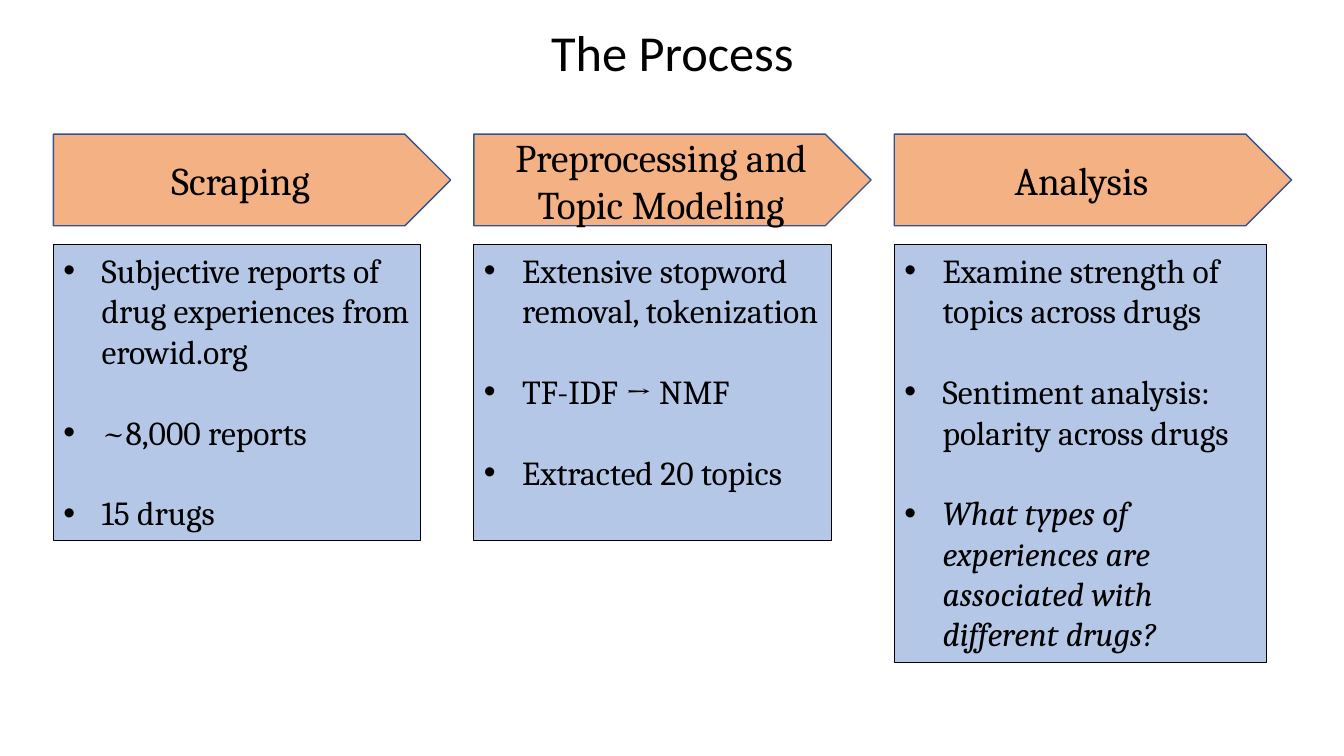
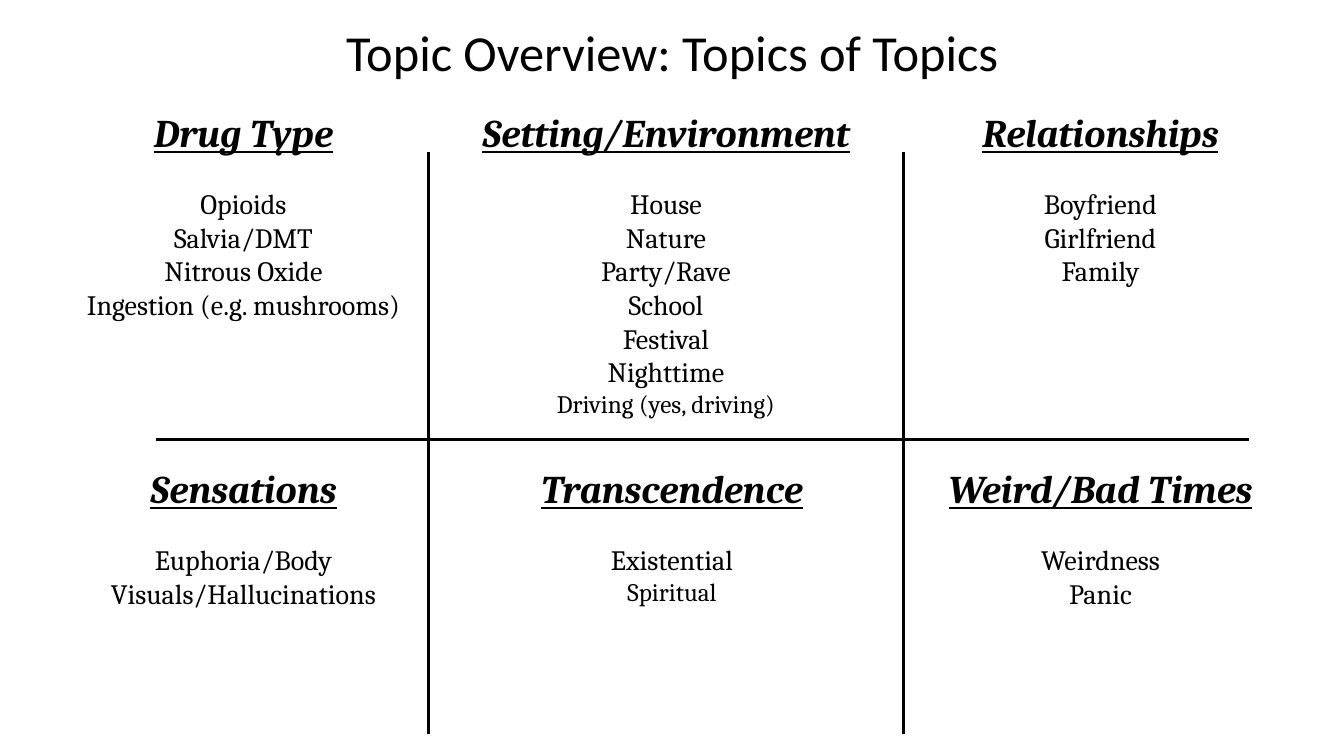
from lxml import etree
from pptx import Presentation
from pptx.dml.color import RGBColor
from pptx.enum import shapes, text
from pptx.oxml.ns import qn
from pptx.util import Inches, Pt

COLORS = {"ink": "000000", "arrow": "F4B183", "arrow_edge": "325491", "card": "B4C7E7"}
TITLE = {"name": "Calibri", "size": Pt(36)}
STEP = {"name": "Cambria", "size": Pt(28)}
BULLET = {"name": "Cambria", "size": Pt(24)}
HEADING = {**STEP, "bold": True, "italic": True, "underline": True}
TOPIC = {"name": "Cambria", "size": Pt(20)}
SMALL = {**TOPIC, "size": Pt(18)}

# step, card width, card height, bullets
PROCESS = [
    ("Scraping", 3.64, 2.93,
     ["Subjective reports of drug experiences from erowid.org", "~8,000 reports", "15 drugs"]),
    ("Preprocessing and Topic Modeling", 3.55, 2.93,
     ["Extensive stopword removal, tokenization", "TF-IDF → NMF", "Extracted 20 topics"]),
    ("Analysis", 3.69, 4.14,
     ["Examine strength of topics across drugs",
      "Sentiment analysis: polarity across drugs",
      "What types of experiences are associated with different drugs?"]),
]
ITALIC = {"What types of experiences are associated with different drugs?"}

# rows of (heading, topics)
TOPICS = [
    [("Drug Type", ["Opioids", "Salvia/DMT", "Nitrous Oxide", "Ingestion (e.g. mushrooms)"]),
     ("Setting/Environment", ["House", "Nature", "Party/Rave", "School", "Festival",
                              "Nighttime", "Driving (yes, driving)"]),
     ("Relationships", ["Boyfriend", "Girlfriend", "Family"])],
    [("Sensations", ["Euphoria/Body", "Visuals/Hallucinations"]),
     ("Transcendence", ["Existential", "Spiritual"]),
     ("Weird/Bad Times", ["Weirdness", "Panic"])],
]
SMALL_TOPICS = {"Driving (yes, driving)", "Spiritual"}
WIDER_LEFT = {"Setting/Environment": 0.12}

PROCESS_LEFT, PROCESS_PITCH = 0.53, 4.17
TOPIC_LEFT, TOPIC_PITCH, TOPIC_WIDTH = 0.46, 4.25, 3.91
TOPIC_ROWS = [(1.03, 3.53), (4.56, 2.15)]  # top, height
DIVIDERS = [(4.25, 1.51, 4.25, 7.28), (8.96, 1.51, 8.96, 7.28), (1.55, 4.36, 12.39, 4.36)]


def rgb(name):
    return RGBColor.from_string(COLORS[name])


def write(p, words, font, align=text.PP_ALIGN.CENTER):
    p.alignment = align
    r = p.add_run()
    r.text = words
    for key, value in font.items():
        setattr(r.font, key, value)
    r.font.color.rgb = rgb("ink")


def next_paragraph(tf, i):
    return tf.paragraphs[0] if i == 0 else tf.add_paragraph()


def add_bullet(p):
    pPr = p._p.get_or_add_pPr()
    pPr.set("marL", str(Inches(0.38)))
    pPr.set("indent", str(-Inches(0.38)))
    etree.SubElement(pPr, qn("a:buFont")).set("typeface", "Arial")
    etree.SubElement(pPr, qn("a:buChar")).set("char", "•")


def add_text(slide, *box):
    tf = slide.shapes.add_textbox(*map(Inches, box)).text_frame
    tf.word_wrap = True
    return tf


def add_panel(slide, kind, box, fill, edge, weight, anchor):
    sp = slide.shapes.add_shape(kind, *map(Inches, box))
    sp.shadow.inherit = False
    sp.fill.solid()
    sp.fill.fore_color.rgb = rgb(fill)
    sp.line.color.rgb = rgb(edge)
    sp.line.width = Pt(weight)
    tf = sp.text_frame
    tf.word_wrap = True
    tf.vertical_anchor = anchor
    return tf


def add_divider(slide, ends):
    line = slide.shapes.add_connector(shapes.MSO_CONNECTOR.STRAIGHT, *map(Inches, ends))
    line.line.color.rgb = rgb("ink")
    line.line.width = Pt(1.75)
    etree.SubElement(line._element.spPr, qn("a:effectLst"))


def new_slide(prs, title):
    slide = prs.slides.add_slide(prs.slide_layouts[6])
    p = add_text(slide, 1.67, 0.23, 10, 0.89).paragraphs[0]
    p.line_spacing = 0.9
    write(p, title, TITLE)
    return slide


def build_process(prs):
    slide = new_slide(prs, "The Process")
    for col, (step, width, height, bullets) in enumerate(PROCESS):
        left = PROCESS_LEFT + col * PROCESS_PITCH
        tf = add_panel(slide, shapes.MSO_SHAPE.PENTAGON, (left, 1.33, 3.94, 0.91),
                       "arrow", "arrow_edge", 1, text.MSO_ANCHOR.MIDDLE)
        write(tf.paragraphs[0], step, STEP)
        tf = add_panel(slide, shapes.MSO_SHAPE.RECTANGLE, (left, 2.43, width, height),
                       "card", "ink", 0.75, text.MSO_ANCHOR.TOP)
        for i, words in enumerate(bullets):
            p = next_paragraph(tf, i)
            add_bullet(p)
            if i:
                p.space_before = Pt(29)
            write(p, words, {**BULLET, "italic": words in ITALIC}, text.PP_ALIGN.LEFT)


def build_topics(prs):
    slide = new_slide(prs, "Topic Overview: Topics of Topics")
    for (top, height), cells in zip(TOPIC_ROWS, TOPICS):
        for col, (heading, topics) in enumerate(cells):
            extra = WIDER_LEFT.get(heading, 0)
            left = TOPIC_LEFT + col * TOPIC_PITCH - extra
            tf = add_text(slide, left, top, TOPIC_WIDTH + extra, height)
            write(tf.paragraphs[0], heading, HEADING)
            tf.paragraphs[0].space_after = Pt(22)
            for words in topics:
                write(tf.add_paragraph(), words, SMALL if words in SMALL_TOPICS else TOPIC)
    for ends in DIVIDERS:
        add_divider(slide, ends)


def main():
    prs = Presentation()
    prs.slide_width, prs.slide_height = Inches(13.33), Inches(7.5)
    build_process(prs)
    build_topics(prs)
    prs.save("out.pptx")


if __name__ == "__main__":
    main()
